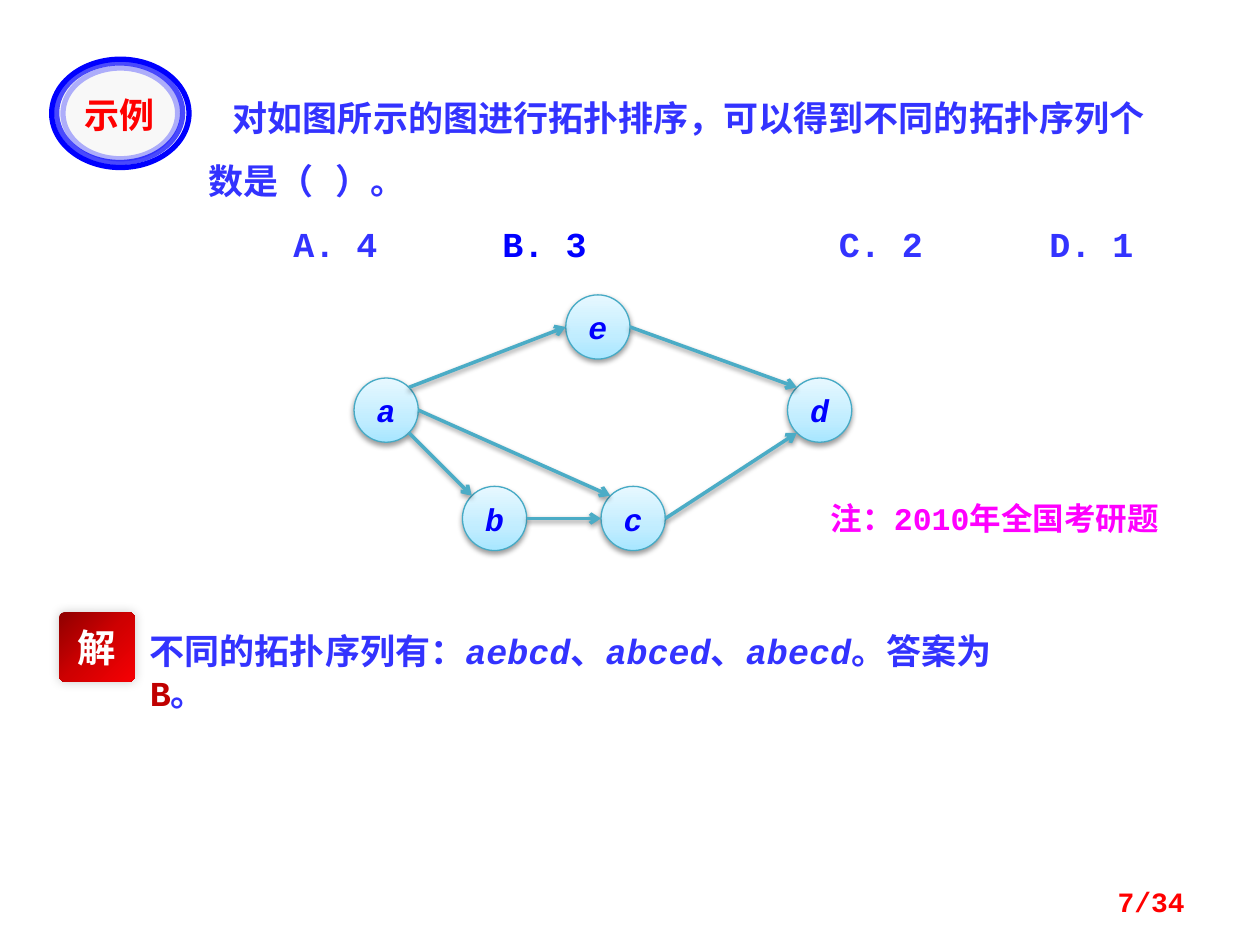
from math import cos, radians, sin

from lxml.etree import SubElement
from pptx import Presentation
from pptx.dml.color import RGBColor
from pptx.enum.shapes import MSO_CONNECTOR, MSO_SHAPE
from pptx.enum.text import MSO_ANCHOR, PP_ALIGN
from pptx.oxml.ns import qn
from pptx.util import Inches, Pt

BLUE = RGBColor(0x33, 0x33, 0xFF)
PURE_BLUE = RGBColor(0x00, 0x00, 0xFF)
RED = RGBColor(0xFF, 0x00, 0x00)
DARK_RED = RGBColor(0xC0, 0x00, 0x00)
MAGENTA = RGBColor(0xFF, 0x00, 0xFF)
WHITE = RGBColor(0xFF, 0xFF, 0xFF)
PALE = RGBColor(0xF8, 0xF8, 0xF8)
NODE_LINE = RGBColor(0x46, 0xAA, 0xC5)
EDGE_LINE = RGBColor(0x4B, 0xAC, 0xC6)
NODE_STOPS = [(0, RGBColor(0xA7, 0xE6, 0xFF)), (35, RGBColor(0xC1, 0xED, 0xFF)),
              (100, RGBColor(0xE7, 0xF8, 0xFF))]
BADGE_STOPS = [(0, RGBColor(0x8F, 0x00, 0x00)), (50, RGBColor(0xCF, 0x00, 0x01)),
               (100, RGBColor(0xF6, 0x00, 0x04))]

# Shadow: opacity in percent, blur and distance in points, direction in degrees
NODE_SHADOW = (38, 3.1, 1.6, 90)
BADGE_SHADOW = (20, 6, 0, 225)

COLUMNS, ROWS = 100, 75
NODE_SIZE = 5.1
NODES = {"e": (44.9, 23.4), "a": (28.1, 30), "b": (36.7, 38.6),
         "c": (47.7, 38.6), "d": (62.5, 30)}
# Start node and angle on its rim, end node and angle, clockwise from the right
EDGES = [("a", 45, "b", 225), ("a", 315, "e", 180), ("e", 0, "d", 225),
         ("b", 0, "c", 180), ("c", 0, "d", 135), ("a", 0, "c", 225)]
RINGS = [(4.1, 4.7, 10.9, 8.6, 100), (4.5, 5, 10, 7.9, 70), (5, 5.4, 9.1, 7.2, 30)]


def rim_point(name, angle):
    radius = NODE_SIZE / 2
    left, top = NODES[name]
    return (left + radius * (1 + cos(radians(angle))),
            top + radius * (1 + sin(radians(angle))))


class SlideBuilder:
    font = "Courier New"
    cjk_font = "Noto Sans CJK SC"

    def __init__(self, presentation):
        self.slide = presentation.slides.add_slide(presentation.slide_layouts[6])
        self.column = presentation.slide_width / COLUMNS
        self.row = presentation.slide_height / ROWS

    def place(self, *lengths):
        """Turn alternating columns and rows into slide lengths."""
        return [round(length * (self.row if index % 2 else self.column))
                for index, length in enumerate(lengths)]

    def add_runs(self, paragraph, runs, name=None, **base):
        """Add (text, changes) runs that share a base format."""
        for text, changes in runs:
            run = paragraph.add_run()
            run.text = text
            values = {"name": name or self.font, "bold": True, **base, **changes}
            color = values.pop("color")
            for attribute, value in values.items():
                setattr(run.font, attribute, value)
            run.font.color.rgb = color
            SubElement(run.font._element, qn("a:ea"), typeface=values["name"])

    def text(self, box, paragraphs, align=PP_ALIGN.LEFT, spacing=None,
             anchor=MSO_ANCHOR.TOP, **base):
        frame = self.slide.shapes.add_textbox(*self.place(*box)).text_frame
        frame.word_wrap = True
        frame.vertical_anchor = anchor
        for index, runs in enumerate(paragraphs):
            paragraph = frame.add_paragraph() if index else frame.paragraphs[0]
            paragraph.alignment = align
            paragraph.line_spacing = spacing
            self.add_runs(paragraph, runs, **base)
        return frame

    def shape(self, kind, box, fill=None, line=None, width=3):
        shape = self.slide.shapes.add_shape(kind, *self.place(*box))
        shape.shadow.inherit = False
        if fill is None:
            shape.fill.background()
        else:
            shape.fill.solid()
            shape.fill.fore_color.rgb = fill
        if line is None:
            shape.line.fill.background()
        else:
            shape.line.color.rgb = line
            shape.line.width = Pt(width)
        return shape

    def gradient(self, shape, stops, angle):
        shape.fill.gradient()
        shape.fill.gradient_angle = angle
        stop_list = next(shape._element.spPr.iter(qn("a:gsLst")))
        for stop in list(stop_list):
            stop_list.remove(stop)
        for position, color in stops:
            stop = SubElement(stop_list, qn("a:gs"), pos=str(position * 1000))
            SubElement(stop, qn("a:srgbClr"), val=str(color))

    def shadow(self, shape, opacity, blur, distance, direction):
        properties = shape._element.spPr
        effects = properties.find(qn("a:effectLst"))
        if effects is None:
            effects = SubElement(properties, qn("a:effectLst"))
        outer = SubElement(effects, qn("a:outerShdw"), blurRad=str(Pt(blur)),
                           dist=str(Pt(distance)), dir=str(direction * 60000),
                           rotWithShape="0")
        color = SubElement(outer, qn("a:srgbClr"), val="000000")
        SubElement(color, qn("a:alpha"), val=str(opacity * 1000))

    def label(self, shape, text, **base):
        frame = shape.text_frame
        frame.word_wrap = False
        frame.vertical_anchor = MSO_ANCHOR.MIDDLE
        frame.paragraphs[0].alignment = PP_ALIGN.CENTER
        self.add_runs(frame.paragraphs[0], [(text, {})], **base)

    def node(self, name):
        node = self.shape(MSO_SHAPE.OVAL, (*NODES[name], NODE_SIZE, NODE_SIZE),
                          WHITE, NODE_LINE, 0.75)
        self.gradient(node, NODE_STOPS, 90)
        self.shadow(node, *NODE_SHADOW)
        self.label(node, name, size=Pt(18), color=PURE_BLUE, italic=True)

    def edge(self, start, start_angle, end, end_angle):
        points = self.place(*rim_point(start, start_angle), *rim_point(end, end_angle))
        edge = self.slide.shapes.add_connector(MSO_CONNECTOR.STRAIGHT, *points)
        edge.line.color.rgb = EDGE_LINE
        edge.line.width = Pt(2)
        SubElement(edge.line._get_or_add_ln(), qn("a:tailEnd"), type="arrow")
        self.shadow(edge, *NODE_SHADOW)

    def ring(self, left, top, width, height, opacity):
        solid = opacity == 100
        ring = self.shape(MSO_SHAPE.OVAL, (left, top, width, height),
                          PALE if solid else None, PURE_BLUE)
        if not solid:
            color = next(ring.line._get_or_add_ln().iter(qn("a:srgbClr")))
            SubElement(color, qn("a:alpha"), val=str(opacity * 1000))

    def badge(self, box, text):
        badge = self.shape(MSO_SHAPE.ROUNDED_RECTANGLE, box, DARK_RED)
        badge.adjustments[0] = 0.08
        self.gradient(badge, BADGE_STOPS, 315)
        self.shadow(badge, *BADGE_SHADOW)
        self.label(badge, text, name=self.cjk_font, size=Pt(22), color=WHITE)


def main():
    presentation = Presentation()
    presentation.slide_width, presentation.slide_height = Inches(10), Inches(7.5)
    builder = SlideBuilder(presentation)

    question = builder.text(
        (15.6, 5.5, 76.6, 15.6),
        [[("对如图所示的图进行拓扑排序，可以得到不同的拓扑序列个数是（ ）。", {})],
         [("\tA. 4\t", {}), ("B. 3", {"color": PURE_BLUE}), ("\tC. 2\tD. 1", {})]],
        spacing=1.5, size=Pt(20), color=BLUE)
    stem, options = [paragraph._p.get_or_add_pPr() for paragraph in question.paragraphs]
    stem.set("indent", str(Inches(0.19)))
    tabs = SubElement(options, qn("a:tabLst"))
    for position in (0.67, 2.33, 5, 6.67):
        SubElement(tabs, qn("a:tab"), pos=str(Inches(position)), algn="l")

    for name in NODES:
        builder.node(name)
    for edge in EDGES:
        builder.edge(*edge)

    italic = {"italic": True}
    builder.text(
        (10.9, 49.5, 71.1, 4.4),
        [[("不同的拓扑序列有：", {}), ("aebcd", italic), ("、", {}), ("abced", italic),
          ("、", {}), ("abecd", italic), ("。答案为", {}), ("B", {"color": DARK_RED}),
          ("。", {})]],
        size=Pt(20), color=BLUE)
    builder.text((63.3, 39.1, 31.3, 4), [[("注：2010年全国考研题", {})]],
                 align=PP_ALIGN.CENTER, size=Pt(18), color=MAGENTA)

    for ring in RINGS:
        builder.ring(*ring)
    builder.text((4.7, 6.9, 9.6, 3.9), [[("示例", {})]], align=PP_ALIGN.CENTER,
                 name="Noto Sans CJK JP", size=Pt(20), color=RED)
    builder.badge((4.7, 48.6, 6, 5.5), "解")
    builder.text((71.7, 69.5, 23.3, 4), [[("7/34", {})]], align=PP_ALIGN.RIGHT,
                 anchor=MSO_ANCHOR.MIDDLE, size=Pt(16), color=RED)
    presentation.save("out.pptx")


if __name__ == "__main__":
    main()
